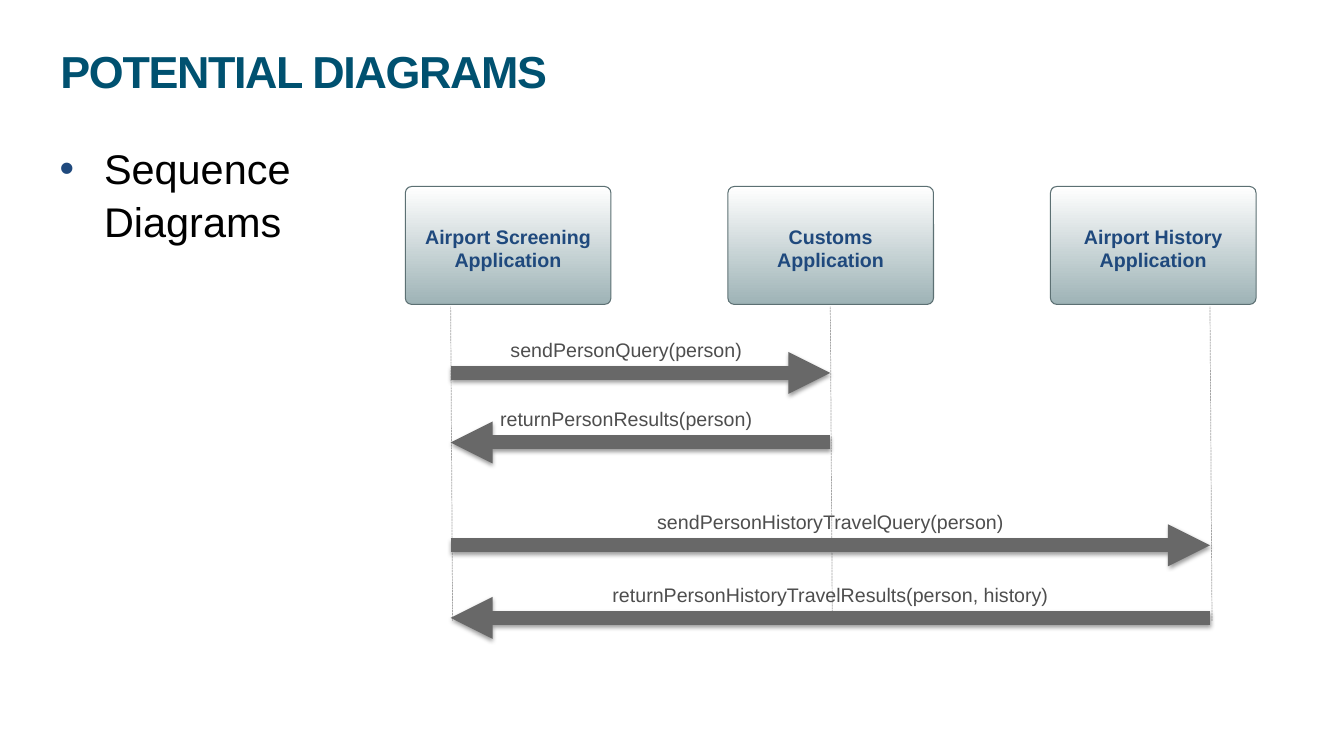
from pptx import Presentation
from pptx.dml.color import RGBColor
from pptx.enum.dml import MSO_LINE
from pptx.enum.shapes import MSO_CONNECTOR, MSO_SHAPE
from pptx.enum.text import MSO_ANCHOR, PP_ALIGN
from pptx.oxml.ns import qn
from pptx.util import Inches, Pt
from lxml.etree import SubElement


def color(value):
    return RGBColor.from_string(value)


def set_all(target, values):
    for name, value in values.items():
        setattr(target, name, value)


class SequenceSlide:
    """Draws sequence diagram parts, with lengths in percent of the slide's size."""

    title_font = {"size": Pt(32), "bold": True}
    body_font = {"size": Pt(29.6)}
    actor_font = {"size": Pt(14), "bold": True}
    message_font = {"size": Pt(14)}

    def __init__(self, presentation):
        self.width = presentation.slide_width
        self.height = presentation.slide_height
        self.slide = presentation.slides.add_slide(presentation.slide_layouts[6])

    def place(self, x, y):
        return round(self.width * x / 100), round(self.height * y / 100)

    def fill_text(self, shape, lines, font, text_color, alignment, **frame_values):
        frame = shape.text_frame
        set_all(frame, {"word_wrap": True, **frame_values})
        for index, line in enumerate(lines):
            paragraph = frame.paragraphs[0] if index == 0 else frame.add_paragraph()
            paragraph.alignment = alignment
            run = paragraph.add_run()
            run.text = line
            set_all(run.font, {"name": "Arial", **font})
            run.font.color.rgb = color(text_color)
        return frame.paragraphs[0]

    def text_box(self, x, y, width, height):
        return self.slide.shapes.add_textbox(*self.place(x, y), *self.place(width, height))

    def title(self, text, x, y, width, height):
        paragraph = self.fill_text(self.text_box(x, y, width, height), [text],
                                   self.title_font, "005170", PP_ALIGN.LEFT,
                                   margin_left=0, vertical_anchor=MSO_ANCHOR.MIDDLE)
        paragraph.line_spacing = 0.8
        paragraph.runs[0].font._element.set("spc", "-100")

    def bullet(self, text, x, y, width, height):
        paragraph = self.fill_text(self.text_box(x, y, width, height), [text],
                                   self.body_font, "000000", PP_ALIGN.LEFT)
        paragraph.line_spacing = 1.05
        properties = paragraph._p.get_or_add_pPr()
        properties.set("marL", str(Inches(0.5)))
        properties.set("indent", str(Inches(-0.44)))
        bullet_color = SubElement(properties, qn("a:buClr"))
        SubElement(bullet_color, qn("a:srgbClr"), val="1F497D")
        SubElement(properties, qn("a:buFont"), typeface="Arial")
        SubElement(properties, qn("a:buChar"), char="•")

    def actor(self, lines, x, y, width, height):
        shape = self.slide.shapes.add_shape(
            MSO_SHAPE.ROUNDED_RECTANGLE, *self.place(x, y), *self.place(width, height))
        shape.adjustments[0] = 0.054
        shape.shadow.inherit = False
        shape.fill.gradient()
        shape.fill.gradient_angle = 90
        for stop, shade in zip(shape.fill.gradient_stops, ("9EB3B6", "FFFFFF")):
            stop.color.rgb = color(shade)
        shape.line.color.rgb = color("5C7073")
        shape.line.width = Pt(0.75)
        self.fill_text(shape, lines, self.actor_font, "1F497D", PP_ALIGN.CENTER,
                       margin_top=Inches(0.1), vertical_anchor=MSO_ANCHOR.MIDDLE)

    def connector(self, start, end, line_color, line_width):
        line = self.slide.shapes.add_connector(
            MSO_CONNECTOR.STRAIGHT, *self.place(*start), *self.place(*end))
        line.line.color.rgb = color(line_color)
        line.line.width = Pt(line_width)
        return line, SubElement(line._element.spPr, qn("a:effectLst"))

    def lifeline(self, x, top, bottom):
        line, _ = self.connector((x + 0.15, bottom), (x, top), "A6A6A6", 0.5)
        line.line.dash_style = MSO_LINE.SQUARE_DOT

    def message(self, text, start, end, y, label_center, label_width):
        arrow, effects = self.connector((start, y), (end, y), "686868", 10)
        SubElement(arrow.line._get_or_add_ln(), qn("a:tailEnd"), type="triangle")
        shadow = SubElement(effects, qn("a:outerShdw"), blurRad=str(Pt(3.1)),
                            dist=str(Pt(1.6)), dir="5400000", rotWithShape="0")
        shade = SubElement(shadow, qn("a:srgbClr"), val="000000")
        SubElement(shade, qn("a:alpha"), val="38000")
        label = self.text_box(label_center - label_width / 2, y - 5.33, label_width, 6.8)
        self.fill_text(label, [text], self.message_font, "4E4E4E", PP_ALIGN.CENTER)


def main():
    presentation = Presentation()
    set_all(presentation, {"slide_width": Inches(13.33), "slide_height": Inches(7.5)})
    page = SequenceSlide(presentation)
    page.title("POTENTIAL DIAGRAMS", 4.5, 6.2, 90, 7.7)
    page.bullet("Sequence Diagrams", 3.25, 18, 26.2, 12.5)

    actors = [["Airport Screening Application"], ["Customs", "Application"],
              ["Airport History Application"]]
    lifelines = [33.53 + 28.25 * index for index in range(len(actors))]
    for index, (lines, x) in enumerate(zip(actors, lifelines)):
        page.actor(lines, 30.16 + 24 * index, 24.67, 15.3, 15.6)
        page.lifeline(x, 40.53, 82.13)

    screening, customs, history = lifelines
    messages = [
        ("sendPersonQuery(person)", screening, customs, 49.33, 46.6, 21.9),
        ("returnPersonResults(person)", customs, screening, 58.53, 46.6, 21.9),
        ("sendPersonHistoryTravelQuery(person)", screening, history, 72.13, 61.8, 29.6),
        ("returnPersonHistoryTravelResults(person, history)", history, screening, 81.73,
         61.8, 34.7),
    ]
    for message in messages:
        page.message(*message)
    presentation.save("out.pptx")


if __name__ == "__main__":
    main()
